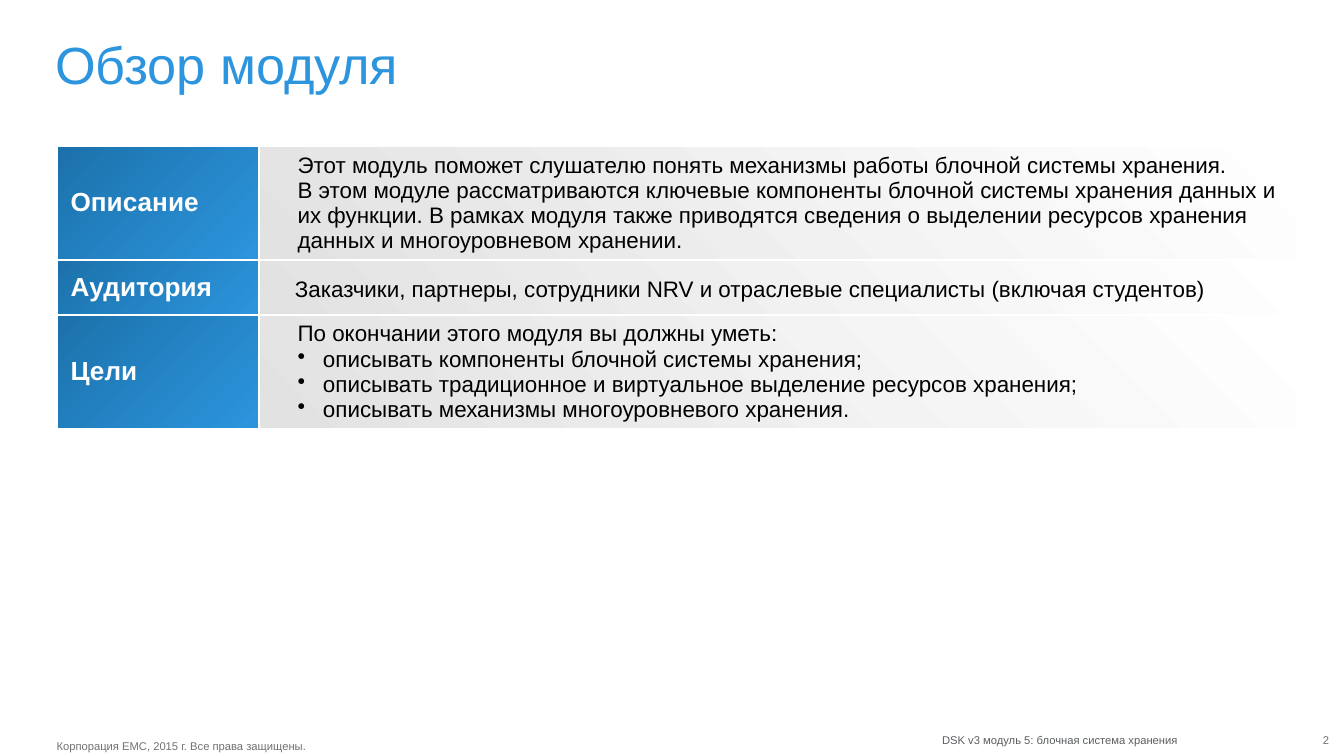
from pptx import Presentation
from pptx.dml.color import RGBColor
from pptx.enum.text import MSO_ANCHOR as Anchor, PP_ALIGN as Align
from pptx.oxml import parse_xml
from pptx.oxml.ns import nsdecls
from pptx.util import Cm, Pt

FONT = "Arial"
BLUE = RGBColor(0x2C, 0x95, 0xDD)
NAVY = RGBColor(0x1C, 0x71, 0xAB)
GRAY = RGBColor(0xE3, 0xE2, 0xE3)
WHITE = RGBColor(0xFF, 0xFF, 0xFF)
BLACK = RGBColor(0, 0, 0)
NOTE = RGBColor(0x71, 0x70, 0x73)
DARK = RGBColor(0x5B, 0x5E, 0x61)

# Each row: label, height, then paragraphs as (text, left, indent, bullet)
ROWS = [
    ("Описание", 2.14, [
        ("Этот модуль поможет слушателю понять механизмы работы блочной системы "
         "хранения.\vВ этом модуле рассматриваются ключевые компоненты блочной "
         "системы хранения данных и их функции. В рамках модуля также приводятся "
         "сведения о выделении ресурсов хранения данных и многоуровневом хранении.",
         0.48, 0, False)]),
    ("Аудитория", 1.04, [
        ("Заказчики, партнеры, сотрудники NRV и отраслевые специалисты "
         "(включая студентов)", 0.3, 0.13, False)]),
    ("Цели", 2.14, [
        ("По окончании этого модуля вы должны уметь:", 0.96, -0.48, False),
        ("описывать компоненты блочной системы хранения;", 0.96, -0.48, True),
        ("описывать традиционное и виртуальное выделение ресурсов хранения;",
         0.96, -0.48, True),
        ("описывать механизмы многоуровневого хранения.", 0.96, -0.48, True)]),
]


def style(para, size, color, bold=False):
    font = para.font
    font.name, font.size, font.bold = FONT, Pt(size), bold
    font.color.rgb = color


def clear(frame):
    frame.margin_left = frame.margin_right = 0
    frame.margin_top = frame.margin_bottom = 0


def add_title(slide, text, box):
    title = slide.shapes.title
    title.left, title.top, title.width, title.height = map(Cm, box)
    frame = title.text_frame
    clear(frame)
    frame.vertical_anchor = Anchor.MIDDLE
    frame.text = text
    para = frame.paragraphs[0]
    para.alignment = Align.LEFT
    para.line_spacing = 0.9
    style(para, 28, BLUE)


def paint(cell, start, end, angle):
    # White borders come before the fill in the cell properties
    props = cell._tc.get_or_add_tcPr()
    for side in ("lnL", "lnR", "lnT", "lnB"):
        props.append(parse_xml(
            f'<a:{side} w="12700" {nsdecls("a")}><a:solidFill>'
            f'<a:srgbClr val="{WHITE}"/></a:solidFill></a:{side}>'))
    fill = cell.fill
    fill.gradient()
    fill.gradient_angle = angle
    for stop, color in zip(fill.gradient_stops, (start, end)):
        stop.color.rgb = color
    cell.vertical_anchor = Anchor.MIDDLE


def set_indent(para, left, indent, bullet):
    props = para._p.get_or_add_pPr()
    props.set("marL", str(Cm(left)))
    props.set("indent", str(Cm(indent)))
    mark = 'buChar char="•"' if bullet else "buNone"
    props.append(parse_xml(f'<a:{mark} {nsdecls("a")}/>'))


def add_grid(slide, rows, box):
    left, top, width, height = map(Cm, box)
    table = slide.shapes.add_table(len(rows), 2, left, top, width, height).table
    table.columns[0].width = Cm(3.81)
    table.columns[1].width = width - Cm(3.81)
    for i, (label, tall, items) in enumerate(rows):
        table.rows[i].height = Cm(tall)
        head, body = table.cell(i, 0), table.cell(i, 1)

        # Label
        paint(head, NAVY, BLUE, 315)
        head.text = label
        style(head.text_frame.paragraphs[0], 14, WHITE, True)

        # Details
        paint(body, GRAY, WHITE, 45)
        body.text = "\n".join(item[0] for item in items)
        for para, (_, *layout) in zip(body.text_frame.paragraphs, items):
            set_indent(para, *layout)
            style(para, 12, BLACK)
    table.cell(1, 1).text_frame.paragraphs[0].line_spacing = 1.15


def add_note(slide, text, box, color, align):
    frame = slide.shapes.add_textbox(*map(Cm, box)).text_frame
    clear(frame)
    frame.word_wrap = True
    frame.text = text
    para = frame.paragraphs[0]
    para.alignment = align
    style(para, 6, color)


def add_footer(slide, box):
    left, top, width, height = box
    right = left + width
    add_note(slide, "Корпорация EMC, 2015\u00a0г. Все права защищены.",
             (left, top + 0.1, 6, height), NOTE, Align.LEFT)
    add_note(slide, "DSK v3 модуль 5: блочная система хранения",
             (right - 8.87, top, 6, height), DARK, Align.RIGHT)
    add_note(slide, "2", (right - 0.79, top, 0.79, height), NOTE, Align.RIGHT)


def main():
    deck = Presentation()
    deck.slide_width, deck.slide_height = Cm(25.4), Cm(14.29)
    slide = deck.slides.add_slide(deck.slide_layouts[5])
    add_title(slide, "Обзор модуля", (1.04, 0.64, 23.5, 1.27))
    add_grid(slide, ROWS, (1.08, 2.76, 23.45, 5.32))
    add_footer(slide, (1.07, 13.87, 24.05, 0.25))
    deck.save("out.pptx")


if __name__ == "__main__":
    main()
